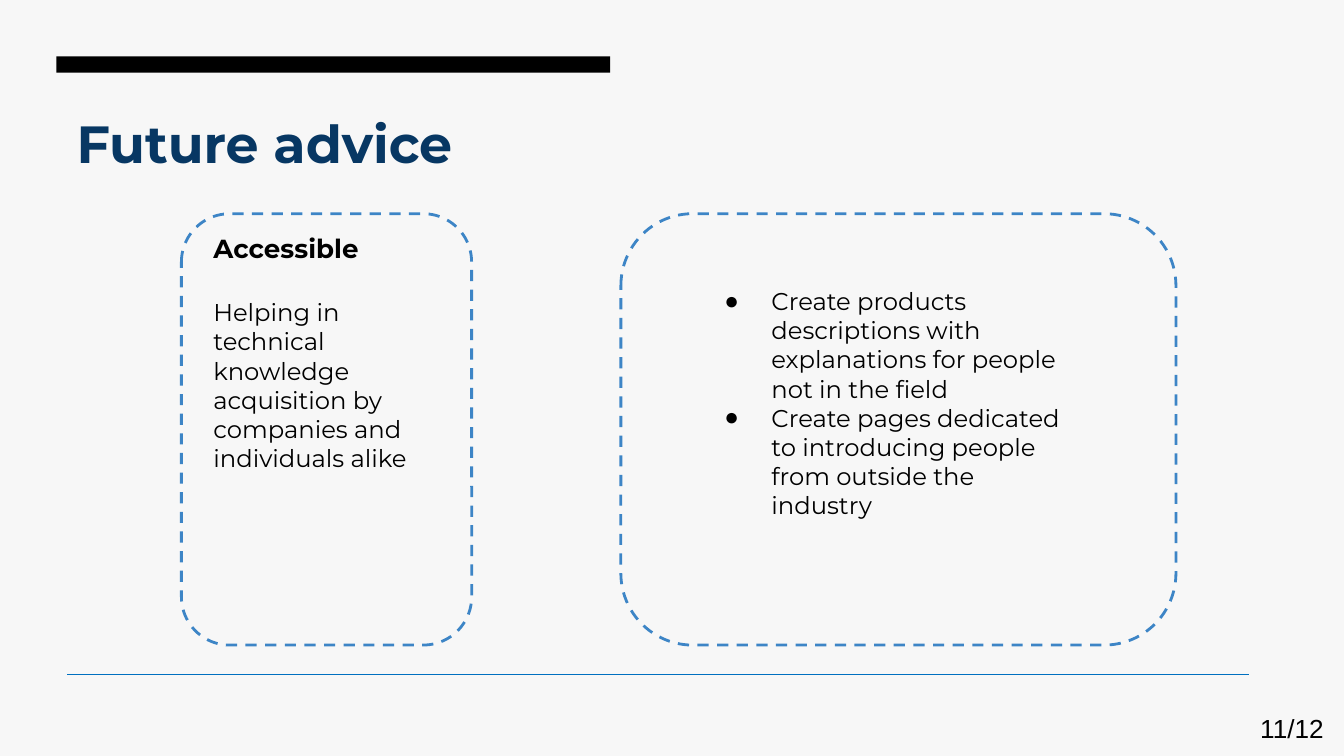
from dataclasses import dataclass

from lxml import etree
from pptx import Presentation
from pptx.dml.color import RGBColor
from pptx.enum.dml import MSO_LINE
from pptx.enum.shapes import MSO_CONNECTOR, MSO_SHAPE
from pptx.enum.text import MSO_ANCHOR, MSO_AUTO_SIZE, PP_ALIGN
from pptx.oxml.ns import qn
from pptx.util import Inches, Pt

DASH = MSO_LINE.DASH
STRAIGHT = MSO_CONNECTOR.STRAIGHT
RECTANGLE = MSO_SHAPE.RECTANGLE
ROUNDED = MSO_SHAPE.ROUNDED_RECTANGLE
TOP, MIDDLE = MSO_ANCHOR.TOP, MSO_ANCHOR.MIDDLE
NO_AUTOFIT = MSO_AUTO_SIZE.NONE
LEFT, RIGHT = PP_ALIGN.LEFT, PP_ALIGN.RIGHT


@dataclass(frozen=True)
class Theme:
    background: RGBColor = RGBColor.from_string("F7F7F7")
    ink: RGBColor = RGBColor.from_string("000000")
    title: RGBColor = RGBColor.from_string("073763")
    frame: RGBColor = RGBColor.from_string("3D85C6")
    rule: RGBColor = RGBColor.from_string("0070C0")
    heading_font: str = "Montserrat"
    number_font: str = "Arial"
    title_size: int = 28
    heading_size: int = 14
    body_size: int = 13


THEME = Theme()
SLIDE_WIDTH = Inches(10)
SLIDE_HEIGHT = SLIDE_WIDTH * 9 // 16
FRAME_TOP, FRAME_HEIGHT = 1.59, 3.21
ADVICE = [
    "Create products descriptions with explanations for people not in the field",
    "Create pages dedicated to introducing people from outside the industry",
]


def place(shape, left, top, width, height):
    shape.left, shape.top = Inches(left), Inches(top)
    shape.width, shape.height = Inches(width), Inches(height)


def prepare_frame(shape, side, vertical, anchor=TOP):
    frame = shape.text_frame
    frame.word_wrap = True
    frame.auto_size = NO_AUTOFIT
    frame.vertical_anchor = anchor
    frame.margin_left = frame.margin_right = Inches(side)
    frame.margin_top = frame.margin_bottom = Inches(vertical)
    return frame


def style(paragraph, size, color=THEME.ink, bold=False,
          font=THEME.heading_font, align=LEFT, before=0):
    paragraph.alignment = align
    paragraph.space_before = Pt(before)
    for run in paragraph.runs:
        run.font.name = font
        run.font.size = Pt(size)
        run.font.bold = bold
        run.font.color.rgb = color


def add_bullet(paragraph, margin=0.5, hang=0.35):
    properties = paragraph._p.get_or_add_pPr()
    properties.set("marL", str(Inches(margin)))
    properties.set("indent", str(-Inches(hang)))
    color = etree.SubElement(properties, qn("a:buClr"))
    etree.SubElement(color, qn("a:srgbClr"), val=str(THEME.ink))
    etree.SubElement(properties, qn("a:buChar"), char="●")


def add_accent_bar(slide):
    bar = slide.shapes.add_shape(
        RECTANGLE, Inches(0.42), Inches(0.42), Inches(4.12), Inches(0.12))
    bar.shadow.inherit = False
    bar.fill.solid()
    bar.fill.fore_color.rgb = THEME.ink
    bar.line.fill.background()


def add_dashed_frame(slide, left, width):
    frame = slide.shapes.add_shape(
        ROUNDED, Inches(left), Inches(FRAME_TOP), Inches(width), Inches(FRAME_HEIGHT))
    frame.shadow.inherit = False
    frame.fill.background()
    frame.line.color.rgb = THEME.frame
    frame.line.width = Pt(1.5)
    frame.line.dash_style = DASH


def add_footer_rule(slide):
    rule = slide.shapes.add_connector(
        STRAIGHT, Inches(0.5), Inches(5.02), Inches(9.29), Inches(5.02))
    rule.line.color.rgb = THEME.rule
    rule.line.width = Pt(0.75)
    etree.SubElement(rule._element.spPr, qn("a:effectLst"))


def add_page_number(slide, number):
    box = slide.shapes.add_textbox(
        Inches(9), Inches(5.27), Inches(0.92), Inches(0.3))
    paragraph = prepare_frame(box, 0.07, 0.04, MIDDLE).paragraphs[0]
    paragraph.text = number
    style(paragraph, THEME.heading_size, font=THEME.number_font, align=RIGHT)


def fill_title(title, text):
    place(title, 0.5, 0.79, 7.78, 0.44)
    paragraph = prepare_frame(title, 0.07, 0.04).paragraphs[0]
    paragraph.text = text
    style(paragraph, THEME.title_size, THEME.title, bold=True)


def add_goal(slide, heading, description):
    box = slide.shapes.add_textbox(
        Inches(1.49), Inches(1.63), Inches(1.9), Inches(2.83))
    frame = prepare_frame(box, 0.1, 0.1)
    frame.text = f"{heading}\n{description}"
    heading_line, description_line = frame.paragraphs
    style(heading_line, THEME.heading_size, bold=True)
    style(description_line, THEME.body_size, before=18)


def fill_advice(body, items):
    place(body, 5.14, 2.03, 2.9, 2.62)
    frame = prepare_frame(body, 0.1, 0.1)
    frame.text = "\n".join(items)
    for paragraph in frame.paragraphs:
        add_bullet(paragraph)
        style(paragraph, THEME.body_size)


def main():
    deck = Presentation()
    deck.slide_width, deck.slide_height = SLIDE_WIDTH, SLIDE_HEIGHT
    slide = deck.slides.add_slide(deck.slide_layouts[1])
    slide.background.fill.solid()
    slide.background.fill.fore_color.rgb = THEME.background

    add_accent_bar(slide)
    fill_title(slide.shapes.title, "Future advice")
    add_dashed_frame(slide, 1.35, 2.16)
    add_goal(slide, "Accessible",
             "Helping in technical knowledge acquisition by companies and individuals alike")
    add_dashed_frame(slide, 4.62, 4.13)
    fill_advice(slide.placeholders[1], ADVICE)
    add_footer_rule(slide)
    add_page_number(slide, "11/12")
    deck.save("out.pptx")


if __name__ == "__main__":
    main()
